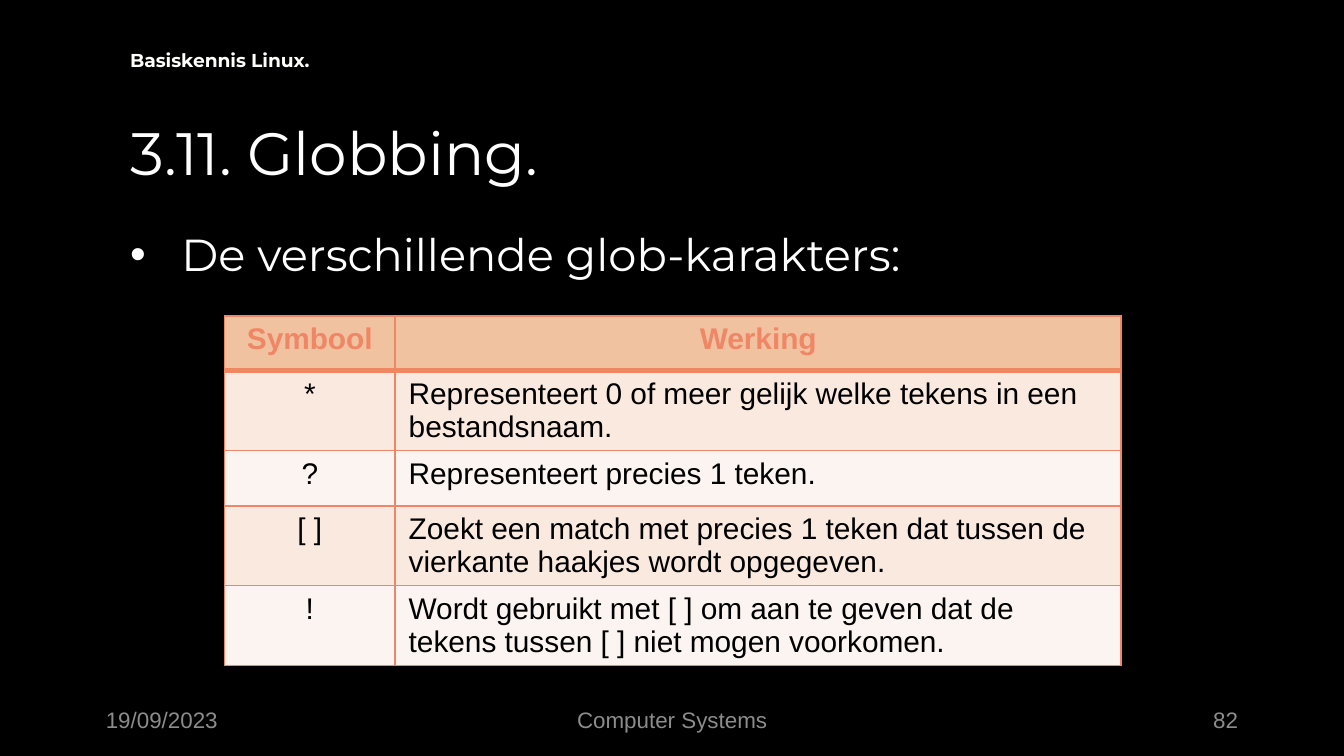
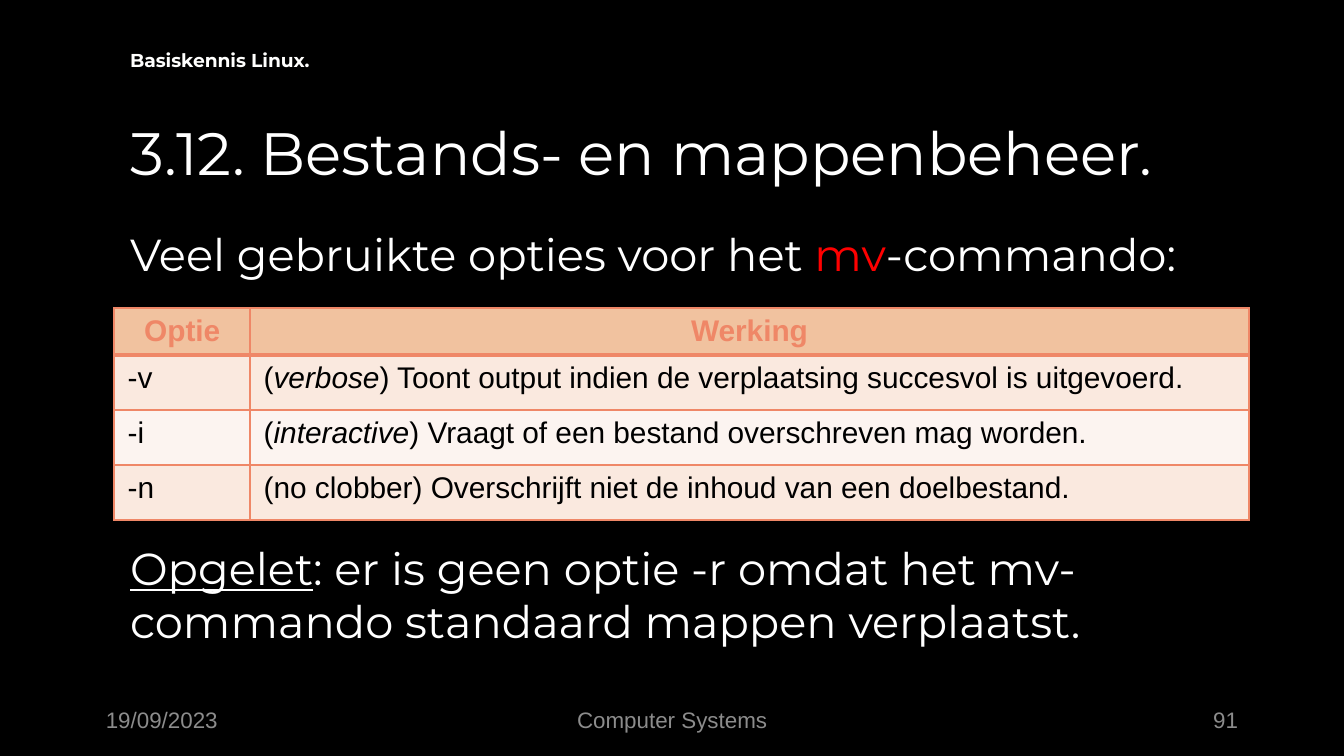
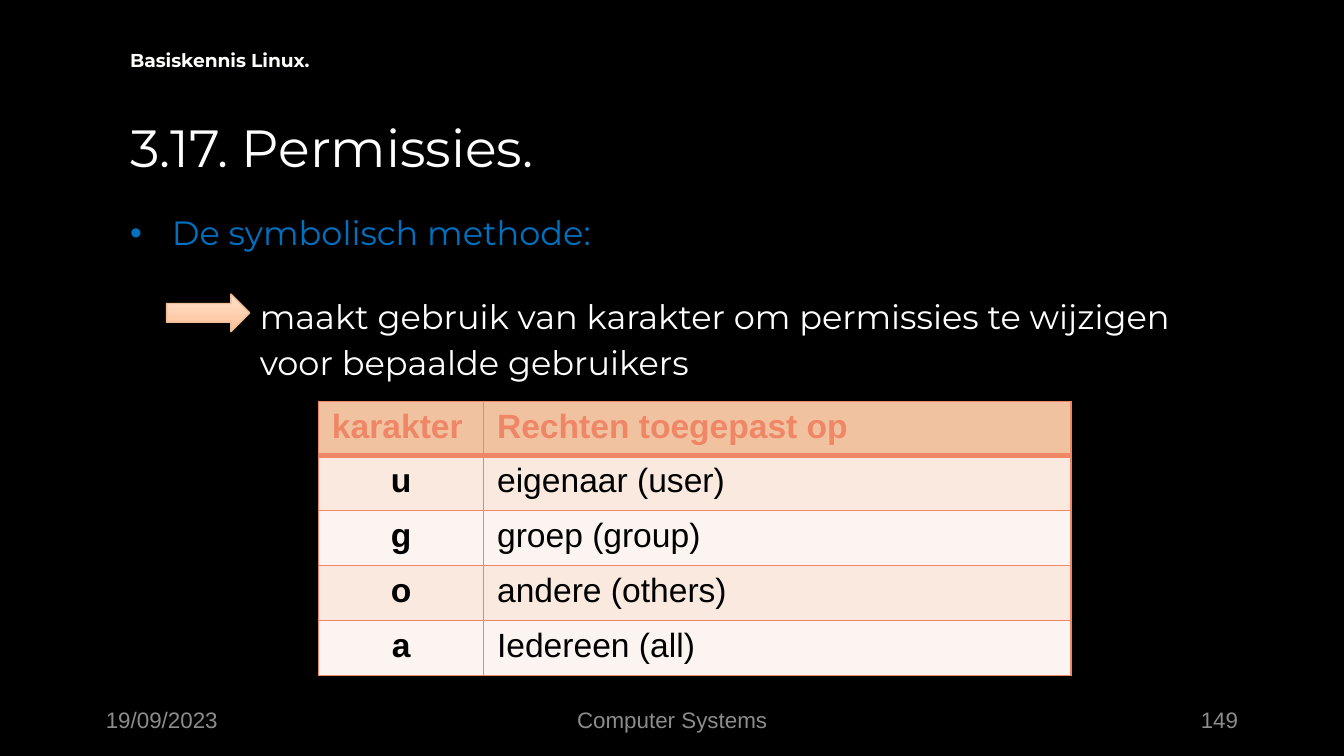
from dataclasses import dataclass

import lxml.etree
import pptx
import pptx.dml.color
import pptx.enum.shapes
import pptx.enum.text
import pptx.oxml.ns
import pptx.util

Cm = pptx.util.Cm
Pt = pptx.util.Pt
qn = pptx.oxml.ns.qn
ALIGN = pptx.enum.text.PP_ALIGN
ANCHOR = pptx.enum.text.MSO_ANCHOR


# Colours, fonts and type sizes
@dataclass(frozen=True)
class Theme:
    background: str = "000000"
    text: str = "FFFFFF"
    chapter: str = "FFFFFE"
    footer: str = "8C8C8C"
    command: str = "FF0000"
    method: str = "0070C0"
    cell_text: str = "000000"
    accent: str = "EF8767"
    header_fill: str = "F1C29F"
    bands: tuple = ("FAE9DF", "FCF4F0")
    arrow_fill: tuple = ("FDC093", "FFE2CF")
    arrow_line: str = "EEBD99"
    shadow: str = "000000"
    display_font: str = "Montserrat"
    plain_font: str = "Arial"
    title_size: int = 32
    small_title_size: int = 28
    body_size: int = 24
    small_body_size: int = 18
    table_size: int = 16
    footer_size: int = 12
    chapter_size: int = 10


@dataclass
class Run:
    text: str
    color: str = None
    bold: bool = None
    italic: bool = None
    underline: bool = None


@dataclass
class Para:
    runs: list
    color: str = None
    bullet: bool = False
    indent: float = 0
    before: float = 0
    align: object = ALIGN.LEFT


def rgb(value):
    return pptx.dml.color.RGBColor.from_string(value)


def add_xml(parent, tag, **attributes):
    return lxml.etree.SubElement(parent, qn(tag), attributes)


class Deck:
    def __init__(self, theme):
        self.theme = theme
        self.slide = None
        self.presentation = pptx.Presentation()
        self.presentation.slide_width = Cm(25.4)
        self.presentation.slide_height = Cm(14.29)
        fill = self.presentation.slide_master.background.fill
        fill.solid()
        fill.fore_color.rgb = rgb(theme.background)

    # Slide frame: title, chapter line and footer
    def new_slide(self, heading, number, size=None):
        theme = self.theme
        layout = self.presentation.slide_layouts[5]
        self.slide = self.presentation.slides.add_slide(layout)
        title = self.slide.shapes.title
        title.left, title.top = Cm(2.21), Cm(2.06)
        title.width, title.height = Cm(22.86), Cm(1.7)
        self.fill_frame(title.text_frame, [Para([Run(heading)])],
                        size or theme.title_size)
        self.text((2.21, 0.79, 11.43, 0.89),
                  [Para([Run("Basiskennis Linux.", bold=True)], theme.chapter)],
                  theme.chapter_size)
        footers = (
            (1.75, 5.72, "19/09/2023", ALIGN.LEFT),
            (8.41, 8.59, "Computer Systems", ALIGN.CENTER),
            (17.93, 5.72, str(number), ALIGN.RIGHT),
        )
        for left, width, label, align in footers:
            self.text((left, 13.23, width, 0.76),
                      [Para([Run(label)], theme.footer, align=align)],
                      theme.footer_size, theme.plain_font, ANCHOR.MIDDLE)

    # Text
    def text(self, box, paras, size, font=None, anchor=ANCHOR.TOP):
        frame = self.slide.shapes.add_textbox(*map(Cm, box)).text_frame
        self.fill_frame(frame, paras, size, font, anchor)

    def fill_frame(self, frame, paras, size, font=None, anchor=ANCHOR.TOP):
        frame.word_wrap = True
        frame.auto_size = pptx.enum.text.MSO_AUTO_SIZE.NONE
        frame.vertical_anchor = anchor
        for index, para in enumerate(paras):
            target = frame.add_paragraph() if index else frame.paragraphs[0]
            self.fill_paragraph(target, para, size, font or self.theme.display_font)

    def fill_paragraph(self, target, para, size, font):
        target.alignment = para.align
        target.space_before = Pt(para.before)
        properties = target._p.get_or_add_pPr()
        if para.indent:
            properties.set("marL", str(Cm(para.indent)))
        if para.bullet:
            properties.set("indent", str(-Cm(para.indent)))
            add_xml(properties, "a:buFont", typeface=self.theme.plain_font)
            add_xml(properties, "a:buChar", char="•")
        for part in para.runs:
            run = target.add_run()
            run.text = part.text
            run.font.name = font
            run.font.size = Pt(size)
            run.font.color.rgb = rgb(part.color or para.color or self.theme.text)
            run.font.bold = part.bold
            run.font.italic = part.italic
            run.font.underline = part.underline

    # Table: a header row, then rows in alternating bands
    def table(self, left, top, columns, heights, rows, size=None,
              aligns=(ALIGN.LEFT, ALIGN.LEFT), header_align=ALIGN.CENTER,
              bold_keys=False):
        theme = self.theme
        table = self.slide.shapes.add_table(
            len(rows), len(columns), Cm(left), Cm(top),
            Cm(sum(columns)), Cm(sum(heights))).table
        for column, width in zip(table.columns, columns):
            column.width = Cm(width)
        for r, (row, height) in enumerate(zip(rows, heights)):
            table.rows[r].height = Cm(height)
            for c, content in enumerate(row):
                cell = table.cell(r, c)
                header = r == 0
                self.borders(cell, top=3 if r == 1 else 1, bottom=3 if header else 1)
                cell.fill.solid()
                cell.fill.fore_color.rgb = rgb(
                    theme.header_fill if header else theme.bands[(r - 1) % 2])
                bold = header or (bold_keys and c == 0)
                runs = [Run(content, bold=bold)] if isinstance(content, str) else content
                para = Para(runs, theme.accent if header else theme.cell_text,
                            align=header_align if header else aligns[c])
                self.fill_paragraph(cell.text_frame.paragraphs[0], para,
                                    size or theme.table_size, theme.plain_font)

    def borders(self, cell, top, bottom):
        properties = cell._tc.get_or_add_tcPr()
        for side, width in (("L", 1), ("R", 1), ("T", top), ("B", bottom)):
            line = add_xml(properties, f"a:ln{side}", w=str(Pt(width)))
            fill = add_xml(line, "a:solidFill")
            add_xml(fill, "a:srgbClr", val=self.theme.accent)

    # Block arrow with a gradient and a soft shadow
    def arrow(self, box):
        theme = self.theme
        arrow = self.slide.shapes.add_shape(
            pptx.enum.shapes.MSO_SHAPE.RIGHT_ARROW, *map(Cm, box))
        arrow.fill.gradient()
        arrow.fill.gradient_angle = 90
        for stop, color in zip(arrow.fill.gradient_stops, theme.arrow_fill):
            stop.color.rgb = rgb(color)
        arrow.line.color.rgb = rgb(theme.arrow_line)
        arrow.line.width = Pt(0.75)
        arrow.shadow.inherit = False
        effects = arrow._element.spPr.find(qn("a:effectLst"))
        shadow = add_xml(effects, "a:outerShdw", blurRad=str(Pt(3.1)),
                         dist=str(Pt(1.8)), dir="5400000", rotWithShape="0")
        color = add_xml(shadow, "a:srgbClr", val=theme.shadow)
        add_xml(color, "a:alpha", val="35000")


def globbing(deck):
    deck.new_slide("3.11. Globbing.", 82)
    deck.text((2.21, 4.17, 22.86, 8.69),
              [Para([Run("De verschillende glob-karakters:")], bullet=True, indent=0.97)],
              deck.theme.body_size)
    deck.table(4.24, 5.97, (3.23, 13.72), (1.04, 1.5, 1.04, 1.5, 1.5), [
        ("Symbool", "Werking"),
        ("*", "Representeert 0 of meer gelijk welke tekens in een bestandsnaam."),
        ("?", "Representeert precies 1 teken."),
        ("[ ]", "Zoekt een match met precies 1 teken dat tussen de vierkante "
                "haakjes wordt opgegeven."),
        ("!", "Wordt gebruikt met [ ] om aan te geven dat de tekens tussen [ ] "
              "niet mogen voorkomen."),
    ], aligns=(ALIGN.CENTER, ALIGN.LEFT))


def move_options(deck):
    deck.new_slide("3.12. Bestands- en mappenbeheer.", 91)
    # The space before the warning leaves room for the table
    deck.text((2.21, 4.17, 22.86, 8.69), [
        Para([Run("Veel gebruikte opties voor het "),
              Run("mv", deck.theme.command), Run("-commando:")]),
        Para([Run("Opgelet", underline=True),
              Run(": er is geen optie -r omdat het mv-commando standaard "
                  "mappen verplaatst.")], before=139),
    ], deck.theme.body_size)
    deck.table(2.16, 5.82, (2.57, 18.87), (0.89, 1.04, 1.04, 1.04), [
        ("Optie", "Werking"),
        ("-v", [Run("("), Run("verbose", italic=True),
                Run(") Toont output indien de verplaatsing succesvol is uitgevoerd.")]),
        ("-i", [Run("("), Run("interactive", italic=True),
                Run(") Vraagt of een bestand overschreven mag worden.")]),
        ("-n", "(no clobber) Overschrijft niet de inhoud van een doelbestand."),
    ])


def permissions(deck):
    theme = deck.theme
    deck.new_slide("3.17. Permissies.", 149, theme.small_title_size)
    deck.text((2.21, 3.89, 22.12, 8.69), [
        Para([Run("De symbolisch methode:")], theme.method, bullet=True, indent=0.79),
        Para([Run("maakt gebruik van karakter om permissies te wijzigen")],
             indent=2.45, before=23),
        Para([Run("voor bepaalde gebruikers")], indent=2.45, before=3.3),
    ], theme.small_body_size)
    deck.arrow((3.15, 5.56, 1.57, 0.71))
    deck.table(6.02, 7.59, (3.12, 11.1), (1.02, 1.04, 1.04, 1.04, 1.04), [
        ("karakter", "Rechten toegepast op"),
        ("u", "eigenaar (user)"),
        ("g", "groep (group)"),
        ("o", "andere (others)"),
        ("a", "Iedereen (all)"),
    ], size=theme.small_body_size, aligns=(ALIGN.CENTER, ALIGN.LEFT),
        header_align=ALIGN.LEFT, bold_keys=True)


def main():
    deck = Deck(Theme())
    globbing(deck)
    move_options(deck)
    permissions(deck)
    deck.presentation.save("out.pptx")


if __name__ == "__main__":
    main()
